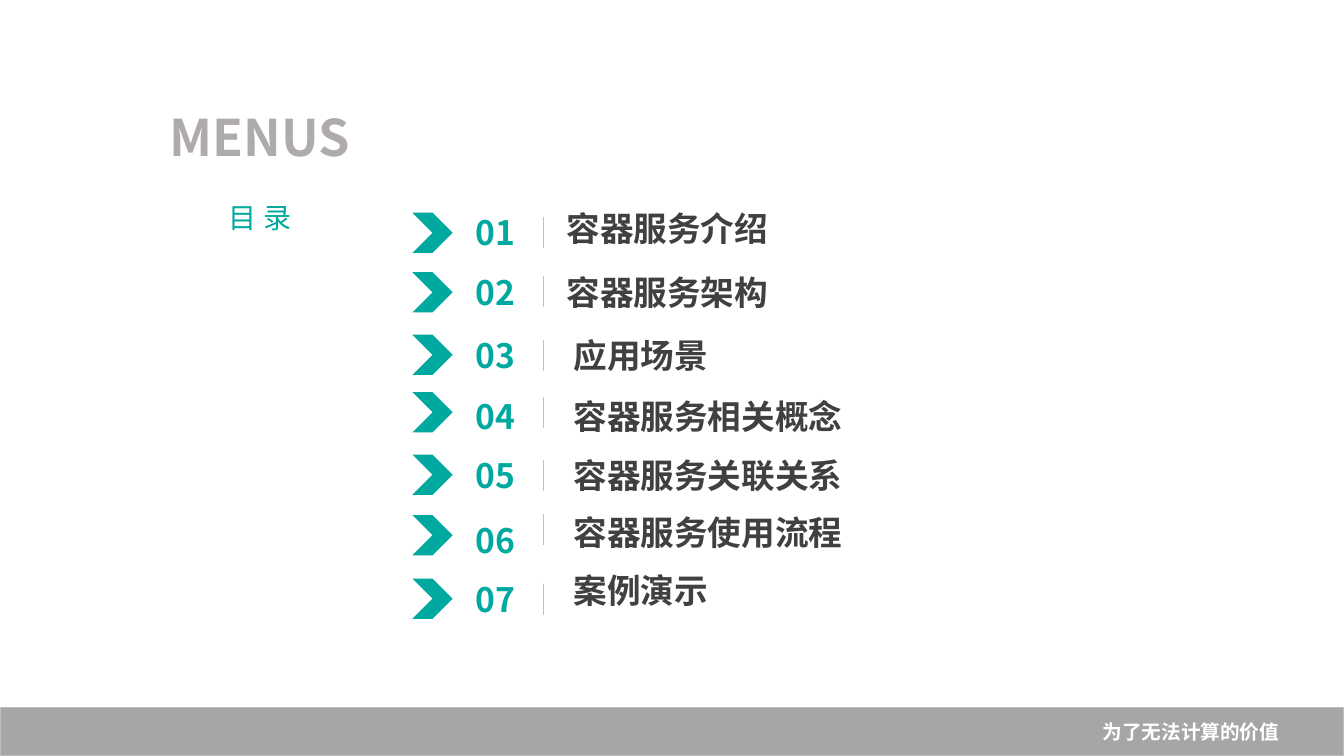
"""Builds the menu slide with seven numbered topics and a footer bar."""
from lxml.etree import SubElement
from pptx import Presentation
from pptx.dml.color import RGBColor
from pptx.enum.shapes import MSO_CONNECTOR, MSO_SHAPE
from pptx.enum.text import MSO_ANCHOR, PP_ALIGN
from pptx.oxml.ns import qn
from pptx.util import Inches, Pt

COLORS = {"teal": "00A99F", "heading": "AFABAB", "topic": "404040", "divider": "C0C0C0",
          "footer": "A6A6A6", "footer_edge": "BFBFBF", "white": "FFFFFF"}
SANS, BODY = "Noto Sans CJK SC", "Calibri"
TOPICS = [
    ("容器服务介绍", 5.52, 1.87, 1.91, 2.15, 2.11),
    ("容器服务架构", 5.52, 2.5, 2.5, 2.74, 2.7),
    ("应用场景", 5.59, 3.13, 3.13, 3.37, 3.32),
    ("容器服务相关概念", 5.59, 3.73, 3.73, 3.94, 3.89),
    ("容器服务关联关系", 5.59, 4.32, 4.32, 4.56, 4.51),
    ("容器服务使用流程", 5.59, 4.88, 4.96, 5.1, 5.11),
    ("案例演示", 5.59, 5.46, 5.55, 5.79, 5.74),
]


def write(shape, text, size, font, color, bold=True, align=PP_ALIGN.CENTER):
    frame = shape.text_frame
    frame.word_wrap = True
    frame.vertical_anchor = MSO_ANCHOR.MIDDLE
    frame.text = text
    paragraph = frame.paragraphs[0]
    paragraph.alignment = align
    style = paragraph.runs[0].font
    style.name, style.size, style.bold = font, Pt(size), bold
    style.color.rgb = RGBColor.from_string(COLORS[color])
    return paragraph


def add_solid(kind, left, top, width, height, color):
    shape = slide.shapes.add_shape(kind, Inches(left), Inches(top), Inches(width), Inches(height))
    shape.shadow.inherit = False
    shape.fill.solid()
    shape.fill.fore_color.rgb = RGBColor.from_string(COLORS[color])
    shape.line.fill.background()
    return shape


prs = Presentation()
prs.slide_width, prs.slide_height = Inches(13.33), Inches(7.5)
slide = prs.slides.add_slide(prs.slide_layouts[6])

heading = slide.shapes.add_textbox(Inches(0.75), Inches(0.93), Inches(3.66), Inches(0.84))
write(heading, "MENUS", 36, SANS, "heading")
subtitle = slide.shapes.add_textbox(Inches(1.54), Inches(1.7), Inches(2.08), Inches(0.95))
write(subtitle, "目 录", 20, SANS, "teal", bold=False).line_spacing = 0.9

for index, (title, title_left, title_top, number_top, divider_top, chevron_top) in enumerate(TOPICS, 1):
    add_solid(MSO_SHAPE.CHEVRON, 4.09, chevron_top, 0.4, 0.4, "teal")

    number = slide.shapes.add_textbox(Inches(4.49), Inches(number_top), Inches(0.84), Inches(0.79))
    write(number, f"{index:02d}", 24, SANS, "teal")

    divider = slide.shapes.add_connector(MSO_CONNECTOR.STRAIGHT, Inches(5.39), Inches(divider_top),
                                         Inches(5.39), Inches(divider_top + 0.31))
    divider.line.color.rgb = RGBColor.from_string(COLORS["divider"])
    divider.line.width = Pt(0.5)
    SubElement(divider._element.spPr, qn("a:effectLst"))

    topic = slide.shapes.add_textbox(Inches(title_left), Inches(title_top), Inches(4.38), Inches(0.79))
    write(topic, title, 24, BODY, "topic", align=PP_ALIGN.LEFT)

footer = add_solid(MSO_SHAPE.RECTANGLE, 0, 7.02, 13.33, 0.48, "footer")
footer.line.color.rgb = RGBColor.from_string(COLORS["footer_edge"])
footer.line.width = Pt(1)
footer.text_frame.margin_right = Inches(0.64)
write(footer, "为了无法计算的价值", 14, BODY, "white", align=PP_ALIGN.RIGHT)

prs.save("out.pptx")
